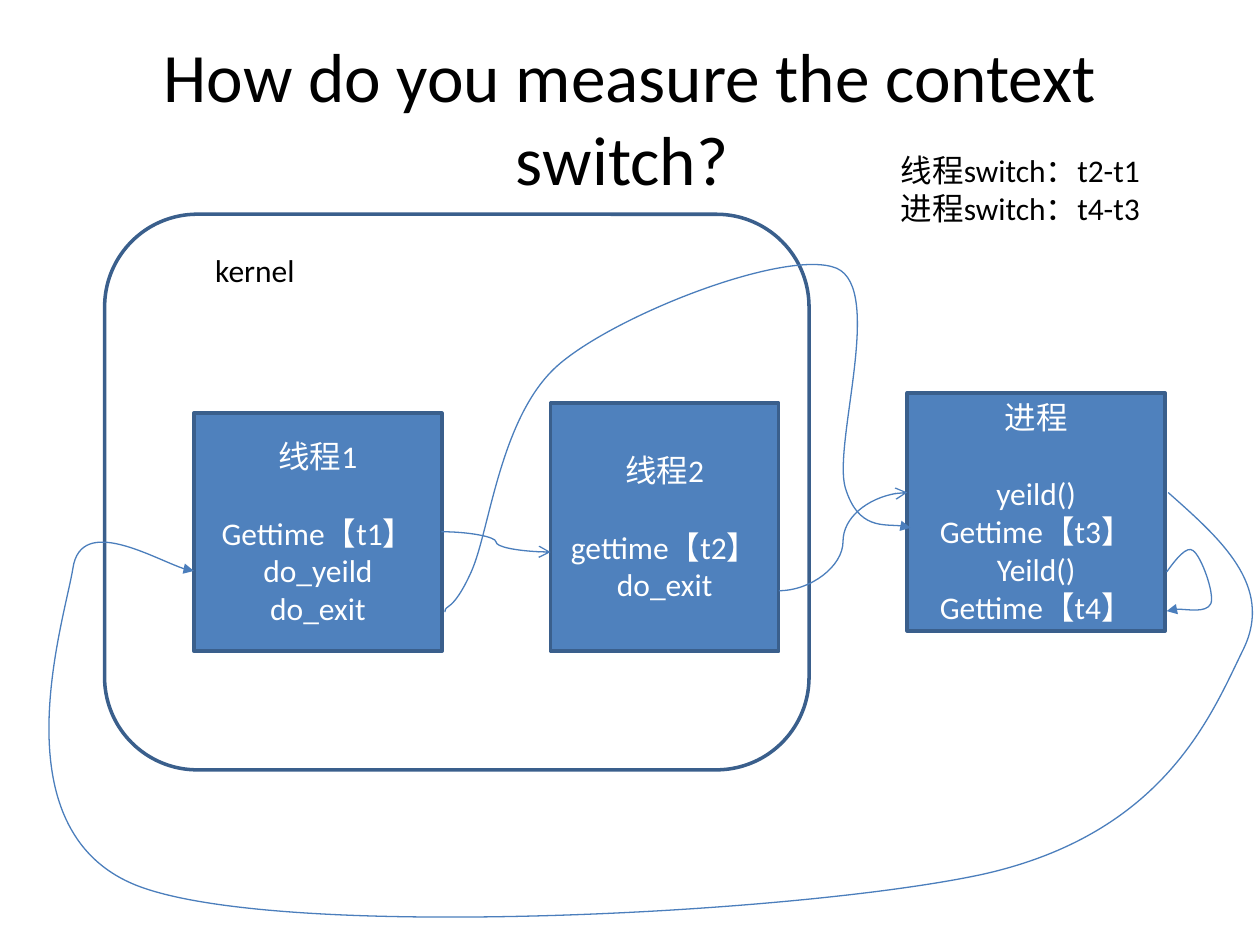
import pptx
import pptx.util
import pptx.dml.color
import pptx.enum.shapes
import pptx.enum.text
import pptx.oxml
import pptx.oxml.ns
from lxml import etree

Cm = pptx.util.Cm
Pt = pptx.util.Pt
qn = pptx.oxml.ns.qn
Shapes = pptx.enum.shapes.MSO_SHAPE
Align = pptx.enum.text.PP_ALIGN
Anchor = pptx.enum.text.MSO_ANCHOR


def set_line(line, hex_color, width):
    line.color.rgb = pptx.dml.color.RGBColor.from_string(hex_color)
    line.width = Pt(width)


def write_text(shape, lines, size, hex_color, alignment, anchor):
    frame = shape.text_frame
    frame.word_wrap = True
    frame.vertical_anchor = anchor
    frame.text = "\n".join(lines)
    for paragraph in frame.paragraphs:
        paragraph.alignment = alignment
        paragraph.font.name = "Calibri"
        paragraph.font.size = Pt(size)
        paragraph.font.color.rgb = pptx.dml.color.RGBColor.from_string(hex_color)


presentation = pptx.Presentation()
presentation.slide_width = Cm(25.4)
presentation.slide_height = Cm(19.05)
slide = presentation.slides.add_slide(presentation.slide_layouts[6])

kernel = slide.shapes.add_shape(Shapes.ROUNDED_RECTANGLE, Cm(2.11), Cm(4.32), Cm(14.2), Cm(11.2))
kernel.shadow.inherit = False
kernel.fill.background()
set_line(kernel.line, "3A5F8C", 2)

title = slide.shapes.add_textbox(Cm(1.27), Cm(0.76), Cm(22.86), Cm(3.18))
write_text(title, ["How do you measure the context switch? "], 39.6, "000000", Align.CENTER, Anchor.MIDDLE)

tasks = [
    (3.91, 8.33, 5, 4.8, ["线程1", "Gettime【t1】", "do_yeild", "do_exit"]),
    (11.1, 8.13, 4.6, 5, ["线程2", "gettime【t2】", "do_exit"]),
    (18.29, 7.92, 5.2, 4.8, ["进程", "yeild()", "Gettime【t3】", "Yeild()", "Gettime【t4】"]),
]
for left, top, width, height, lines in tasks:
    box = slide.shapes.add_shape(Shapes.RECTANGLE, Cm(left), Cm(top), Cm(width), Cm(height))
    box.shadow.inherit = False
    box.fill.solid()
    box.fill.fore_color.rgb = pptx.dml.color.RGBColor.from_string("4F81BD")
    set_line(box.line, "3A5F8C", 2)
    write_text(box, lines, 18, "FFFFFF", Align.CENTER, Anchor.MIDDLE)
    box.text_frame.paragraphs[0].space_after = Pt(22)

labels = [
    (4.09, 4.93, 2.79, 1.02, ["kernel"]),
    (17.91, 2.92, 6.2, 1.8, ["线程switch：t2-t1", "进程switch：t4-t3"]),
]
for left, top, width, height, lines in labels:
    label = slide.shapes.add_textbox(Cm(left), Cm(top), Cm(width), Cm(height))
    write_text(label, lines, 18, "000000", Align.LEFT, Anchor.TOP)

arrows = []
for ends in [(8.9, 10.72, 11.1, 11.13), (15.7, 11.91, 18.29, 9.93)]:
    connector = slide.shapes.add_connector(
        pptx.enum.shapes.MSO_CONNECTOR.CURVE, *[Cm(value) for value in ends])
    arrows.append((connector, "arrow"))

curves = [
    [(23.55, 9.93), (24.61, 10.87), (25.68, 11.81), (25.07, 13.08),
     (24.43, 14.38), (23.5, 16.81), (19.79, 17.63),
     (16.1, 18.42), (5.99, 18.95), (2.92, 17.91),
     (-0.13, 16.89), (1.3, 12.52), (1.47, 11.46),
     (1.63, 10.36), (3.53, 11.51), (3.91, 11.51)],
    [(8.97, 12.34), (8.97, 12.17), (9.12, 12.37), (9.5, 11.53),
     (9.88, 10.69), (10.08, 8.33), (11.3, 7.32),
     (12.52, 6.3), (15.9, 5), (16.87, 5.41),
     (17.83, 5.84), (16.79, 8.94), (17.04, 9.83),
     (17.3, 10.69), (18.08, 10.54), (18.36, 10.64)],
    [(23.52, 11.53), (23.72, 11.25), (23.93, 11), (24.05, 11.1),
     (24.21, 11.2), (24.49, 11.96), (24.41, 12.17),
     (24.31, 12.37), (23.57, 12.22), (23.52, 12.32)],
]
for points in curves:
    points = [(Cm(x), Cm(y)) for x, y in points]
    builder = slide.shapes.build_freeform(*points[0])
    builder.add_line_segments(points[1:], close=False)
    curve = builder.convert_to_shape()
    curve.shadow.inherit = False
    curve.fill.background()
    segments = list(curve.element.iter(qn("a:lnTo")))
    for start in range(0, len(segments), 3):
        bezier = etree.SubElement(segments[start].getparent(), qn("a:cubicBezTo"))
        for segment in segments[start:start + 3]:
            bezier.append(segment[0])
            segment.getparent().remove(segment)
    arrows.append((curve, "triangle"))

for arrow, head in arrows:
    set_line(arrow.line, "4B7EBC", 0.75)
    properties = arrow.element.spPr
    etree.SubElement(properties.find(qn("a:ln")), qn("a:tailEnd"), type=head)
    if properties.find(qn("a:effectLst")) is None:
        etree.SubElement(properties, qn("a:effectLst"))

presentation.save("out.pptx")
